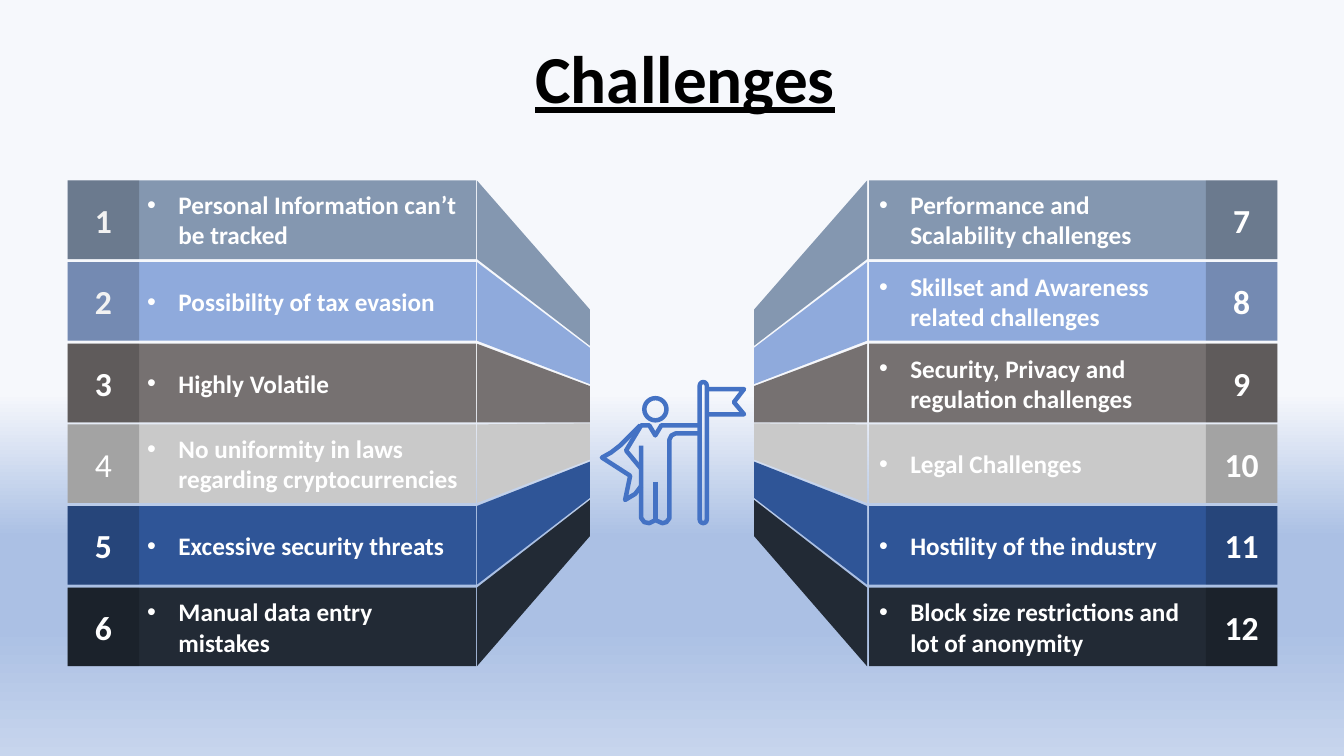
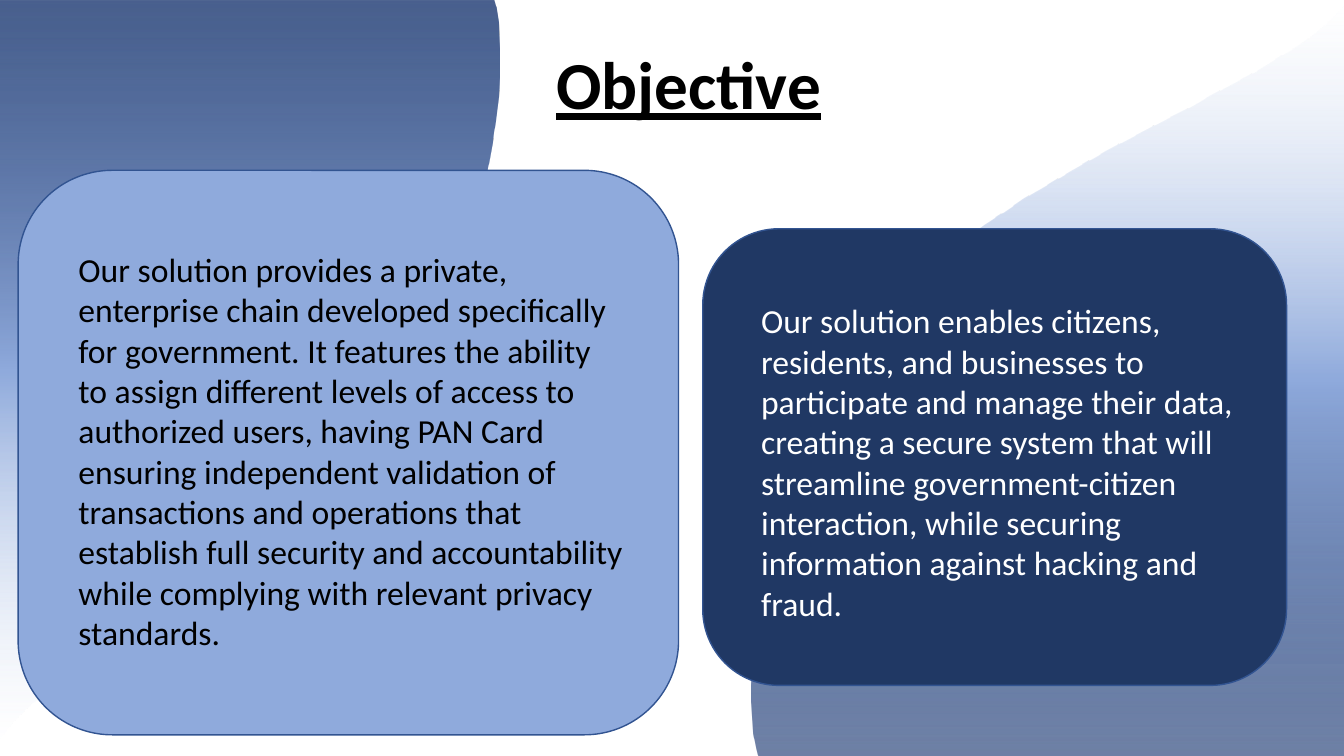
from dataclasses import dataclass

from lxml.etree import SubElement
from pptx import Presentation
from pptx.dml.color import RGBColor
from pptx.enum.shapes import MSO_CONNECTOR, MSO_SHAPE
from pptx.enum.text import MSO_ANCHOR, PP_ALIGN
from pptx.oxml.ns import qn
from pptx.util import Emu, Pt

PX = 9144  # EMU in one px, 100 px to the inch


def px(*lengths):
    return [Emu(round(length * PX)) for length in lengths]


@dataclass(frozen=True)
class Theme:
    font: str = "Calibri"
    title_size: int = 48
    body_size: int = 24
    item_size: int = 18
    black: str = "000000"
    white: str = "FFFFFF"
    off_white: str = "F2F2F2"
    icon: str = "4472C4"
    card_line: str = "325491"
    card_light: str = "8FAADC"
    card_dark: str = "203864"
    rows: tuple = ("8497B0", "8FAADC", "767171", "C9C9C9", "2F5597", "222A35")
    # Gradient stops: position, colour, opacity in percent
    sky: tuple = ((0, "F6F8FC", 100), (52, "F6F8FC", 100), (71, "ABC0E4", 100),
                  (83, "ABC0E4", 100), (100, "C7D5ED", 100))
    wave_down: tuple = ((0, "002060", 71), (50, "8FAADC", 100), (100, "DAE3F3", 0))
    wave_up: tuple = ((0, "DAE3F3", 0), (50, "8FAADC", 100), (100, "002060", 56))


THEME = Theme()


def write_text(shape, text, *, size, color, bold=False, underline=False,
               align=PP_ALIGN.LEFT, anchor=MSO_ANCHOR.TOP, insets=(10, 5, 10, 5),
               bullet_indent=0, line_spacing=None):
    """Fill a shape or text box with one formatted paragraph."""
    frame = shape.text_frame
    frame.word_wrap = True
    frame.vertical_anchor = anchor
    (frame.margin_left, frame.margin_top,
     frame.margin_right, frame.margin_bottom) = px(*insets)
    paragraph = frame.paragraphs[0]
    paragraph.alignment = align
    if line_spacing:
        paragraph.line_spacing = line_spacing
    if bullet_indent:
        properties = paragraph._p.get_or_add_pPr()
        properties.set("marL", str(bullet_indent * PX))
        properties.set("indent", str(-bullet_indent * PX))
        SubElement(properties, qn("a:buFont"), typeface="Arial")
        SubElement(properties, qn("a:buChar"), char="•")
    run = paragraph.add_run()
    run.text = text
    font = run.font
    font.name, font.size = THEME.font, Pt(size)
    font.bold, font.underline = bold, underline
    font.color.rgb = RGBColor.from_string(color)


def set_alpha(color_element, percent):
    SubElement(color_element, qn("a:alpha"), val=str(percent * 1000))


def set_gradient(fill, owner, stops):
    """Give a fill a top-to-bottom gradient; owner is the element around it."""
    fill.gradient()
    fill.gradient_angle = 270
    stop_list = owner.find(".//" + qn("a:gsLst"))
    for old_stop in list(stop_list):
        stop_list.remove(old_stop)
    for position, color, opacity in stops:
        stop = SubElement(stop_list, qn("a:gs"), pos=str(position * 1000))
        color_element = SubElement(stop, qn("a:srgbClr"), val=color)
        if opacity < 100:
            set_alpha(color_element, opacity)


def curve(start, control_1, control_2, end, steps=24):
    """Points along a cubic curve, without its start."""
    points = []
    for step in range(1, steps + 1):
        t = step / steps
        weights = ((1 - t) ** 3, 3 * t * (1 - t) ** 2, 3 * t * t * (1 - t), t ** 3)
        corners = (start, control_1, control_2, end)
        points.append(tuple(sum(w * corner[axis] for w, corner in zip(weights, corners))
                            for axis in (0, 1)))
    return points


class Deck:
    """The presentation, its style and the current slide."""

    def __init__(self, theme):
        self.theme = theme
        self.presentation = Presentation()
        self.presentation.slide_width, self.presentation.slide_height = px(1333, 750)
        self.slide = None

    def new_slide(self, gradient=None):
        self.slide = self.presentation.slides.add_slide(self.presentation.slide_layouts[6])
        fill = self.slide.background.fill
        if gradient:
            set_gradient(fill, self.slide.element, gradient)
        else:
            fill.solid()
            fill.fore_color.rgb = RGBColor.from_string(self.theme.white)

    def text_box(self, box, text, **text_format):
        write_text(self.slide.shapes.add_textbox(*px(*box)), text, **text_format)

    def title(self, box, text, **text_format):
        self.text_box(box, text, size=self.theme.title_size, color=self.theme.black,
                      bold=True, underline=True, align=PP_ALIGN.CENTER, **text_format)

    def paint(self, shape, fill=None, line=None, weight=1.0, opacity=100):
        shape.shadow.inherit = False
        if fill:
            shape.fill.solid()
            shape.fill.fore_color.rgb = RGBColor.from_string(fill)
            if opacity < 100:
                set_alpha(shape._element.spPr.find(".//" + qn("a:srgbClr")), opacity)
        else:
            shape.fill.background()
        if line:
            shape.line.color.rgb = RGBColor.from_string(line)
            shape.line.width = Pt(weight)
        else:
            shape.line.fill.background()

    def preset(self, kind, box, parent=None, **style):
        shapes = (parent or self.slide).shapes
        shape = shapes.add_shape(kind, *px(*box))
        self.paint(shape, **style)
        return shape

    def outline(self, points, parent=None, close=True, **style):
        shapes = (parent or self.slide).shapes
        builder = shapes.build_freeform(*points[0], scale=PX)
        builder.add_line_segments(points[1:], close=close)
        shape = builder.convert_to_shape()
        self.paint(shape, **style)
        return shape

    def wave(self, points, stops):
        shape = self.outline(points)
        set_gradient(shape.fill, shape._element.spPr, stops)

    def line(self, start, end, color, weight, parent=None):
        shapes = (parent or self.slide).shapes
        connector = shapes.add_connector(MSO_CONNECTOR.STRAIGHT, *px(*start, *end))
        connector.line.color.rgb = RGBColor.from_string(color)
        connector.line.width = Pt(weight)
        SubElement(connector._element.spPr, qn("a:effectLst"))

    def card(self, box, fill):
        self.preset(MSO_SHAPE.ROUNDED_RECTANGLE, box, fill=fill, line=self.theme.card_line)

    def save(self):
        self.presentation.save("out.pptx")


# Challenges: two columns of rows that narrow towards the middle
ROW_TOP, ROW_PITCH, ROW_HEIGHT, ROW_WIDTH = 179, 80.8, 78, 405
NUMBER_WIDTH = 71
INNER_TOP, INNER_PITCH, INNER_HEIGHT = 307, 37.8, 36

LEFT_ITEMS = (
    "Personal Information can’t be tracked",
    "Possibility of tax evasion",
    "Highly Volatile",
    "No uniformity in laws regarding cryptocurrencies",
    "Excessive security threats",
    "Manual data entry mistakes",
)
RIGHT_ITEMS = (
    "Performance and Scalability challenges",
    "Skillset and Awareness related challenges",
    "Security, Privacy and regulation challenges",
    "Legal Challenges",
    "Hostility of the industry",
    "Block size restrictions and lot of anonymity",
)


def challenge_column(deck, items, first_number, row_left, number_left, insets,
                     outer_x, inner_x):
    theme = deck.theme
    for index, (item, fill) in enumerate(zip(items, theme.rows)):
        top = round(ROW_TOP + index * ROW_PITCH)
        inner_top = round(INNER_TOP + index * INNER_PITCH)
        number = first_number + index

        row = deck.preset(MSO_SHAPE.RECTANGLE, (row_left, top, ROW_WIDTH, ROW_HEIGHT),
                          fill=fill)
        write_text(row, item, size=theme.item_size, color=theme.white, bold=True,
                   anchor=MSO_ANCHOR.MIDDLE, insets=insets, bullet_indent=31)

        deck.outline([(outer_x, top), (outer_x, top + ROW_HEIGHT),
                      (inner_x, inner_top + INNER_HEIGHT), (inner_x, inner_top)], fill=fill)

        tile = deck.preset(MSO_SHAPE.RECTANGLE,
                           (number_left, top, NUMBER_WIDTH, ROW_HEIGHT),
                           fill=theme.black, opacity=19)
        write_text(tile, str(number), size=theme.body_size, bold=number != 4,
                   color=theme.off_white if number <= 2 else theme.white,
                   align=PP_ALIGN.CENTER, anchor=MSO_ANCHOR.MIDDLE)


def flag_bearer(deck):
    """Line icon of a caped figure that holds a flag."""
    group = deck.slide.shapes.add_group_shape()
    stroke = {"line": deck.theme.icon, "weight": 3.2, "parent": group}
    deck.preset(MSO_SHAPE.OVAL, (639, 395, 22, 22), **stroke)
    pole = deck.preset(MSO_SHAPE.ROUNDED_RECTANGLE, (694, 379, 7, 140), **stroke)
    pole.adjustments[0] = 0.5
    flag = [(701, 386), (738, 386), (728, 399), (738, 411), (701, 411)]
    shoulders = [(694, 422), (656, 422), (650, 432), (644, 422), (636, 422),
                 (621, 447), (636, 465)]
    cape = [(635, 422), (615, 442), (606, 449), (597, 454), (625, 472), (620, 496),
            (630, 490), (636, 482)]
    body = [(694, 430), (670, 430), (666, 432), (664, 436), (664, 514), (661, 518),
            (657, 519), (650, 516), (644, 519), (639, 518), (636, 514), (636, 442)]
    for points in (flag, shoulders, cape, body):
        deck.outline(points, close=False, **stroke)
    deck.line((650, 478), (650, 516), deck.theme.icon, 3.2, group)


def challenges_slide(deck):
    deck.new_slide(deck.theme.sky)
    challenge_column(deck, LEFT_ITEMS, 1, row_left=67, number_left=67,
                     insets=(79, 5, 10, 5), outer_x=473, inner_x=585)
    challenge_column(deck, RIGHT_ITEMS, 7, row_left=862, number_left=1196,
                     insets=(10, 5, 79, 5), outer_x=860, inner_x=748)
    flag_bearer(deck)
    deck.title((112, 31, 1135, 91), "Challenges")


# Objective: two cards over gradient waves
def objective_slide(deck):
    theme = deck.theme
    deck.new_slide()
    deck.wave([(0, 1), (489, 1), (491, 8),
               *curve((491, 8), (511, 122), (450, 316), (391, 418)),
               *curve((391, 418), (318, 545), (117, 625), (28, 701)),
               (12, 717), (0, 733)], theme.wave_down)
    deck.wave([(1333, 750), (752, 750), (750, 742),
               *curve((750, 742), (725, 626), (799, 428), (869, 324)),
               *curve((869, 324), (955, 196), (1195, 113), (1300, 36)),
               (1319, 20), (1333, 4)], theme.wave_up)
    deck.title((108, 15, 1150, 145), "Objective", anchor=MSO_ANCHOR.MIDDLE, line_spacing=0.9)
    deck.card((18, 169, 655, 560), theme.card_light)
    deck.card((697, 227, 579, 453), theme.card_dark)
    deck.text_box(
        (68, 242, 562, 414),
        "Our solution provides a private, enterprise chain developed specifically for "
        "government. It features the ability to assign different levels of access to "
        "authorized users, having PAN Card ensuring independent validation of transactions "
        "and operations that establish full security and accountability while complying "
        "with relevant privacy standards.",
        size=theme.body_size, color=theme.black)
    deck.text_box(
        (745, 293, 491, 333),
        "Our solution enables citizens, residents, and businesses to participate and manage "
        "their data, creating a secure system that will streamline government-citizen "
        "interaction, while securing information against hacking and fraud.",
        size=theme.body_size, color=theme.white)


def main():
    deck = Deck(THEME)
    challenges_slide(deck)
    objective_slide(deck)
    deck.save()


if __name__ == "__main__":
    main()
